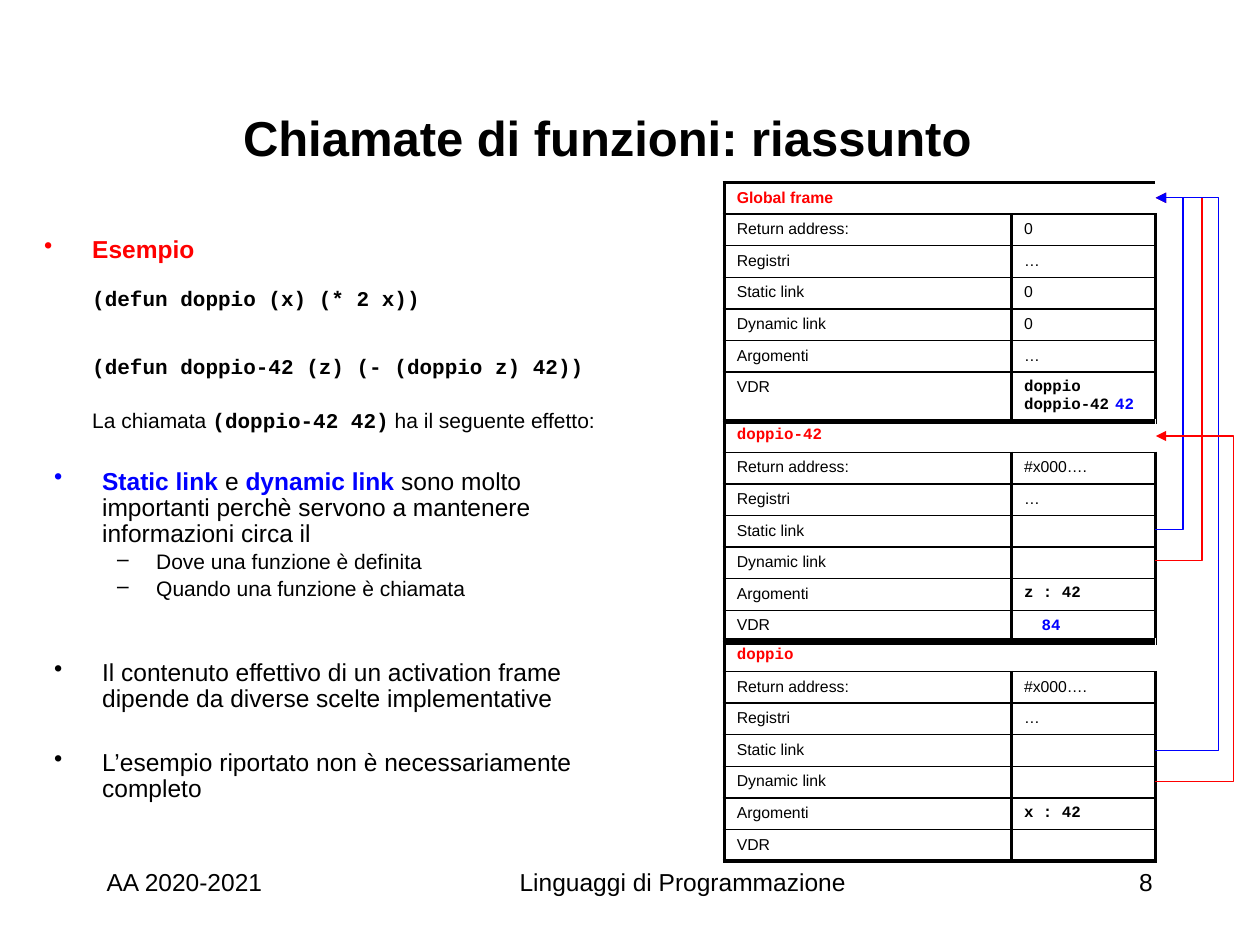
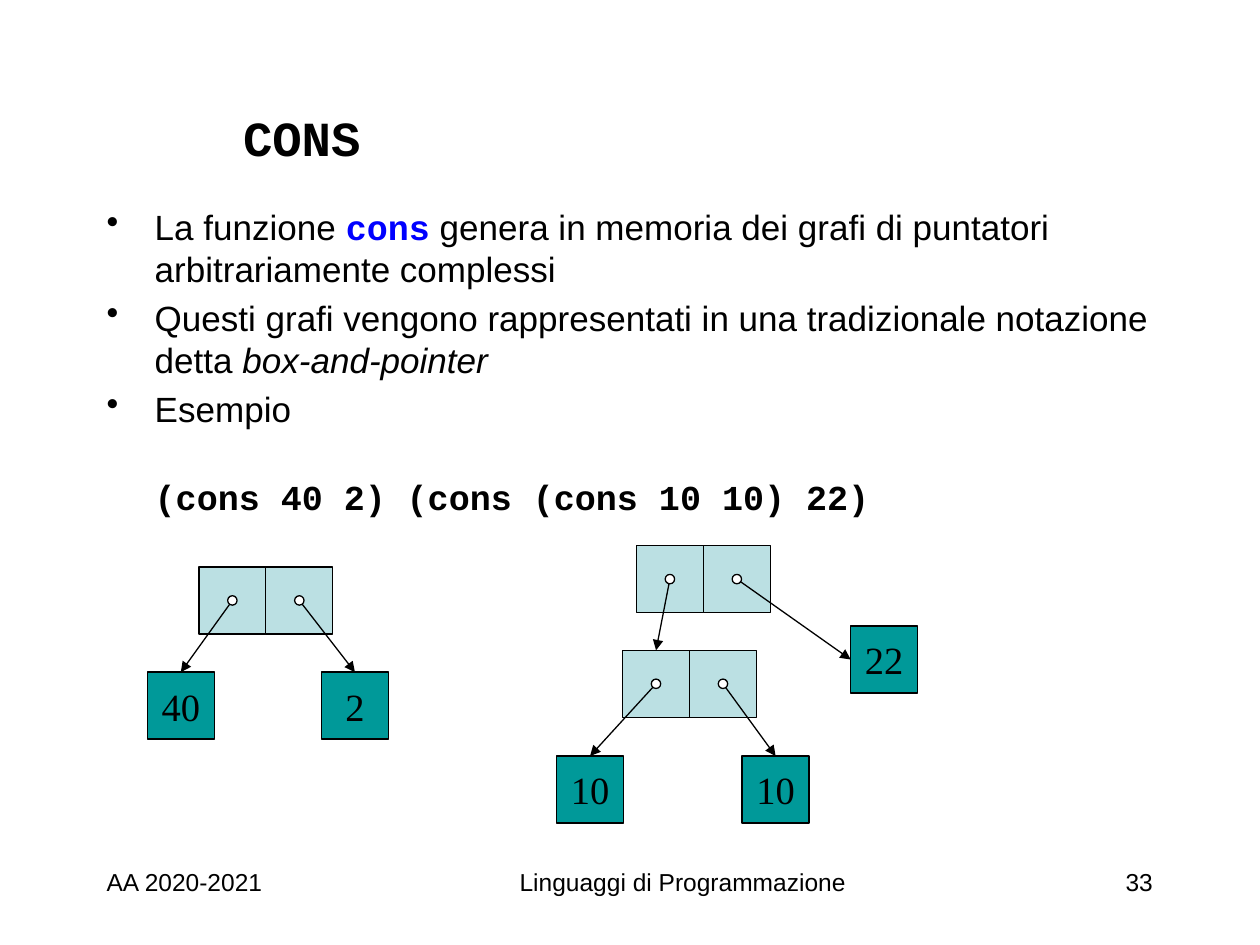
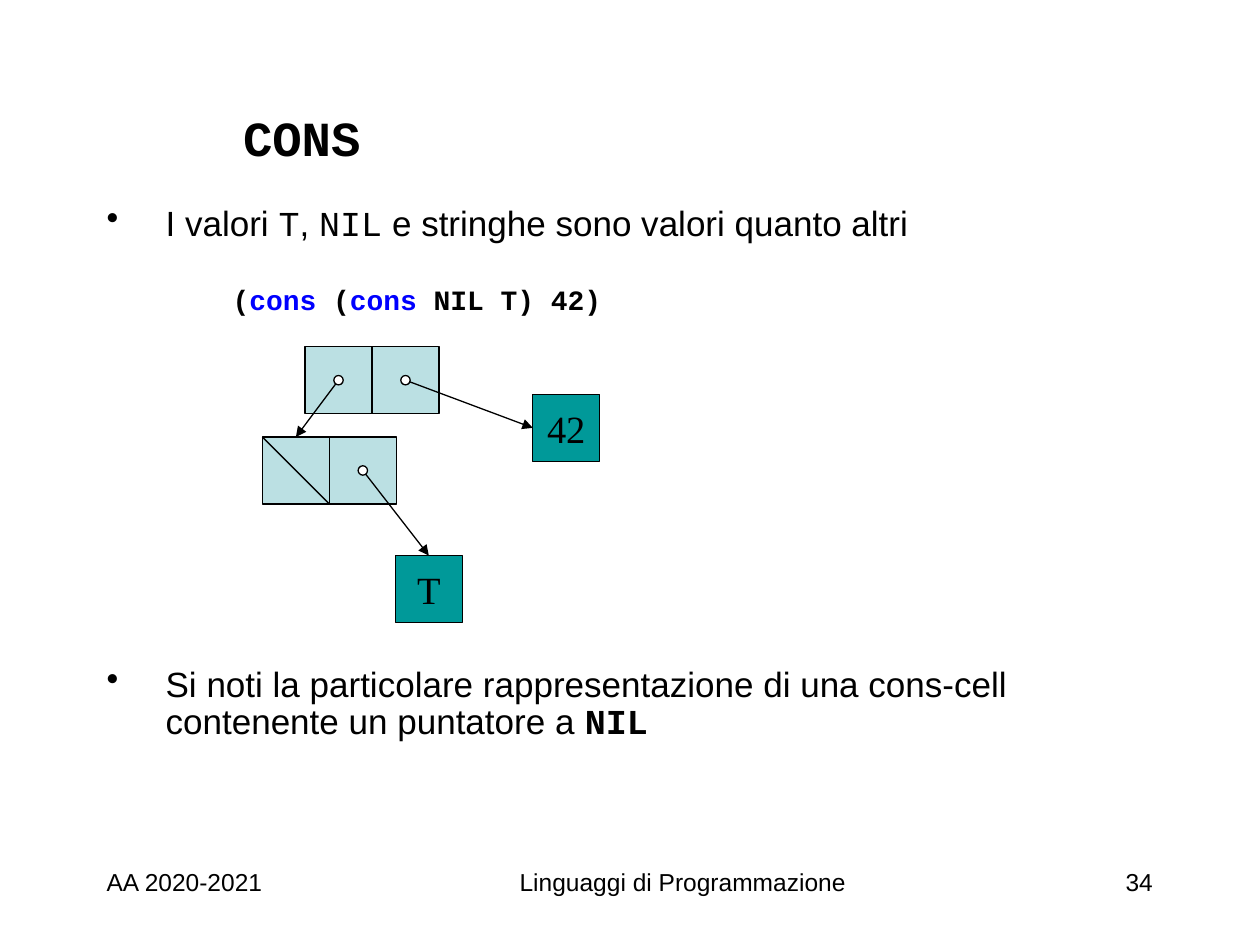
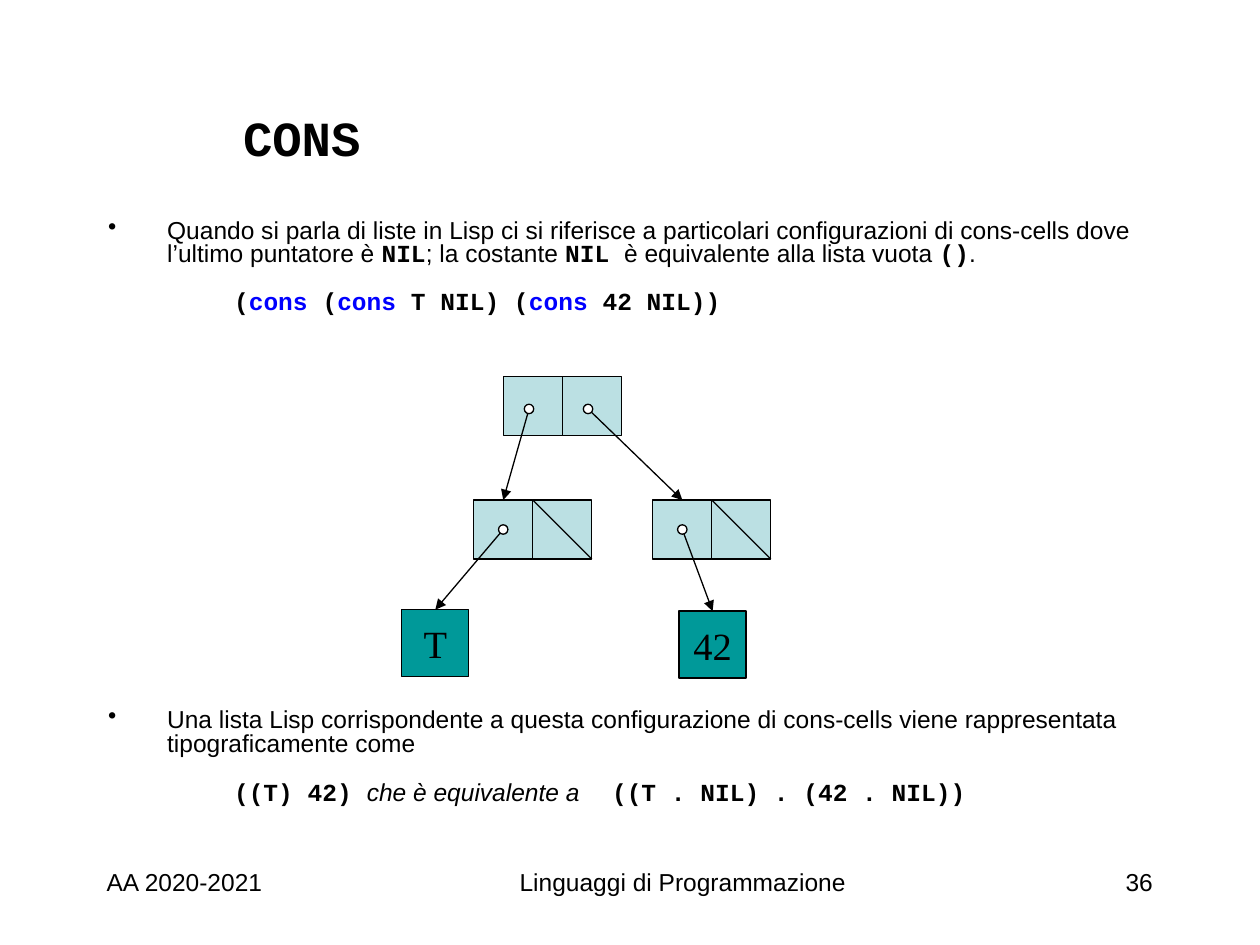
import math

from lxml import etree
from pptx import Presentation
from pptx.dml.color import RGBColor
from pptx.enum import shapes, text
from pptx.oxml import ns
from pptx.util import Cm, Pt

COLORS = {"ink": "000000", "red": "FF0000", "blue": "0000FF",
          "cell": "BBE0E3", "atom": "009999", "dot": "FFFFFF"}
ARIAL, MONO, SERIF = "Arial", "Courier New", "Times New Roman"
STYLES = {
    "text": {"name": ARIAL},
    "head": {"name": ARIAL, "bold": True},
    "red": {"name": ARIAL, "bold": True, "color": "red"},
    "blue": {"name": ARIAL, "bold": True, "color": "blue"},
    "it": {"name": ARIAL, "italic": True},
    "tt": {"name": MONO},
    "code": {"name": MONO, "bold": True},
    "key": {"name": MONO, "bold": True, "color": "blue"},
    "frame": {"name": MONO, "bold": True, "color": "red"},
    "atom": {"name": SERIF},
}
ALIGN = {"l": text.PP_ALIGN.LEFT, "c": text.PP_ALIGN.CENTER, "r": text.PP_ALIGN.RIGHT}
TITLE = (4.65, 1.7, 18.85, 2.12)
FOOT_Y, FOOT_H = 17.36, 1.27
BODY = (1.9, 4.02, 21.59, 12.9)
SIDE = 1.35     # side of an atom and of a usual cons cell
DOT = 0.19

# Paragraph: runs, size, space before, and left, bullet, hang or tab where needed
CALLS = [
    {"runs": [("Esempio", "red")], "size": 14, "left": 0.97, "bullet": "•"},
    {"runs": [("(defun doppio (x) (* 2 x))", "code")], "size": 12, "before": 14, "left": 0.97},
    {"runs": [("(defun doppio-42 (z) (- (doppio z) 42))", "code")],
     "size": 12, "before": 26, "left": 0.97},
    {"runs": [("La chiamata ", "text"), ("(doppio-42 42)", "code"),
              (" ha il seguente effetto:", "text")], "size": 12, "before": 18, "left": 0.97},
]
NOTES = [
    {"runs": [("Static link", "blue"), (" e ", "text"), ("dynamic link", "blue"),
              (" sono molto importanti perchè servono a mantenere informazioni circa il", "text")],
     "size": 14, "left": 0.97, "bullet": "•"},
    {"runs": [("Dove una funzione è definita", "text")],
     "size": 12, "before": 2, "left": 2.06, "hang": 0.79, "bullet": "–"},
    {"runs": [("Quando una funzione è chiamata", "text")],
     "size": 12, "before": 2.4, "left": 2.06, "hang": 0.79, "bullet": "–"},
    {"runs": [("Il contenuto effettivo di un activation frame dipende da diverse "
               "scelte implementative", "text")],
     "size": 14, "before": 33.5, "left": 0.97, "bullet": "•"},
    {"runs": [("L’esempio riportato non è necessariamente completo", "text")],
     "size": 14, "before": 21.5, "left": 0.97, "bullet": "•"},
]
FIELDS = ["Return address:", "Registri", "Static link", "Dynamic link", "Argomenti", "VDR"]
# Frame: top, height of the last row, name, style of the name, values
FRAMES = [
    (3.68, 0.97, "Global frame", "red", ["0", "…", "0", "0", "…", "doppio\ndoppio-42"]),
    (8.48, 0.66, "doppio-42", "frame", ["#x000….", "…", "", "", "z : 42", ""]),
    (12.9, 0.62, "doppio", "frame", ["#x000….", "…", "", "", "x : 42", ""]),
]
FRAME_X, FRAME_COLS, ROW = 14.6, (5.79, 2.9), 0.61
RESULTS = [("84", 20.75, 12.27), ("42", 22.23, 7.82)]
# Link: from y, to y, distance to the right of the frames, colour
LINKS = [(10.67, 3.99, 0.56, "blue"), (11.3, 3.99, 0.94, "red"),
         (15.13, 3.99, 1.27, "blue"), (15.75, 8.79, 1.58, "red")]

# Pairs: name: (x, y, two slots); a slot is (target, side of target) or None for NIL
SLIDES = [
    {"title": "Chiamate di funzioni: riassunto", "style": "head", "page": 8, "tight": 0.9,
     "bodies": [((0.64, 4.65, 12.5, 5.72), CALLS), ((0.84, 9.32, 11.63, 7.82), NOTES)],
     "frames": True},
    {"title": "CONS", "style": "code", "page": 33, "tight": 1,
     "bodies": [(BODY, [
         {"runs": [("La funzione ", "text"), ("cons", "key"),
                   (" genera in memoria dei grafi di puntatori arbitrariamente complessi", "text")],
          "size": 20, "left": 0.97, "bullet": "•"},
         {"runs": [("Questi grafi vengono rappresentati in una tradizionale notazione detta ",
                    "text"), ("box-and-pointer", "it")],
          "size": 20, "before": 4, "left": 0.97, "bullet": "•"},
         {"runs": [("Esempio", "text")], "size": 20, "before": 4, "left": 0.97, "bullet": "•"},
         {"runs": [("(cons 40 2)\t(cons (cons 10 10) 22)", "code")],
          "size": 20, "before": 26, "left": 0.97, "tab": 7.62},
     ])],
     "atoms": {"a": ("40", 2.97, 13.55), "b": ("2", 6.48, 13.55), "c": ("10", 11.22, 15.24),
               "d": ("10", 14.96, 15.24), "e": ("22", 17.15, 12.62)},
     "pairs": {"one": (4.01, 11.43, [("a", 0), ("b", 0)]),
               "low": (12.55, 13.11, [("c", 0), ("d", 0)]),
               "top": (12.83, 11.0, [("low", 0), ("e", 1)])}},
    {"title": "CONS", "style": "code", "page": 34, "tight": 0.9,
     "bodies": [(BODY, [
         {"runs": [("I valori ", "text"), ("T", "tt"), (", ", "text"), ("NIL", "tt"),
                   (" e stringhe sono valori quanto altri", "text")],
          "size": 20, "left": 1.19, "bullet": "•"},
         {"runs": [("(", "code"), ("cons", "key"), (" (", "code"), ("cons", "key"),
                   (" NIL T) 42)", "code")], "size": 16, "before": 24.4, "left": 2.54},
         {"runs": [("Si noti la particolare rappresentazione di una cons-cell contenente "
                    "un puntatore a ", "text"), ("NIL", "code")],
          "size": 20, "before": 200, "left": 1.19, "bullet": "•"},
     ])],
     "atoms": {"a": ("T", 7.97, 11.2), "b": ("42", 10.74, 7.95)},
     "pairs": {"low": (5.29, 8.81, [None, ("a", 0)]),
               "top": (6.15, 6.99, [("low", 0), ("b", 1)])}},
    {"title": "CONS", "style": "code", "page": 36, "tight": 0.8,
     "bodies": [((1.93, 4.32, 21.59, 12.9), [
         {"runs": [("Quando si parla di liste in Lisp ci si riferisce a particolari "
                    "configurazioni di cons-cells dove l’ultimo puntatore è ", "text"),
                   ("NIL", "code"), ("; la costante ", "text"), ("NIL ", "code"),
                   ("è equivalente alla lista vuota ", "text"), ("()", "code"), (".", "text")],
          "size": 14, "left": 1.19, "bullet": "•"},
         {"runs": [("(", "code"), ("cons", "key"), (" (", "code"), ("cons", "key"),
                   (" T NIL) (", "code"), ("cons", "key"), (" 42 NIL))", "code")],
          "size": 14, "before": 14, "left": 2.54},
         {"runs": [("Una lista Lisp corrispondente a questa configurazione di cons-cells viene "
                    "rappresentata tipograficamente come", "text")],
          "size": 14, "before": 225.4, "left": 1.19, "bullet": "•"},
         {"runs": [("((T) 42) ", "code"), ("che è equivalente a", "it"),
                   ("\t((T . NIL) . (42 . NIL))", "code")],
          "size": 14, "before": 14.6, "left": 2.54, "tab": 10.1},
     ])],
     "side": 1.19, "nudge": {"top": (-0.08, 0.06)},
     "atoms": {"a": ("T", 8.1, 12.29), "b": ("42", 13.69, 12.32)},
     "pairs": {"left": (9.55, 10.08, [("a", 0), None]),
               "right": (13.16, 10.08, [("b", 0), None]),
               "top": (10.15, 7.59, [("left", 0), ("right", 0)])}},
]


def rgb(name):
    return RGBColor.from_string(COLORS[name])


def sub(node, tag, **attrs):
    return etree.SubElement(node, ns.qn(tag), {k: str(v) for k, v in attrs.items()})


def write(para, words, style, size):
    look = {"color": "ink", "size": Pt(size), **STYLES[style]}
    tint = look.pop("color")
    for i, line in enumerate(words.split("\n")):
        if i:
            para.add_line_break()
        run = para.add_run()
        run.text = line
        for key, val in look.items():
            setattr(run.font, key, val)
        run.font.color.rgb = rgb(tint)


def add_box(slide, at, wrap=True):
    frame = slide.shapes.add_textbox(*map(Cm, at)).text_frame
    frame.word_wrap = wrap
    return frame


def add_line(slide, at, style, size, words, align="l", anchor="TOP", wrap=True):
    frame = add_box(slide, at, wrap)
    frame.vertical_anchor = getattr(text.MSO_ANCHOR, anchor)
    para = frame.paragraphs[0]
    para.alignment = ALIGN[align]
    write(para, words, style, size)


def add_body(slide, at, paras, tight):
    frame = add_box(slide, at)
    for i, item in enumerate(paras):
        para = frame.add_paragraph() if i else frame.paragraphs[0]
        para.line_spacing = Pt(item["size"] * 1.2 * tight)
        para.space_before = Pt(item.get("before", 0))
        props = para._p.get_or_add_pPr()
        bullet, left = item.get("bullet"), item["left"]
        hang = item.get("hang", left) if bullet else 0
        props.set("marL", str(Cm(left)))
        props.set("indent", str(-Cm(hang)))
        if bullet:
            sub(props, "a:buChar", char=bullet)
        if "tab" in item:
            sub(sub(props, "a:tabLst"), "a:tab", pos=Cm(item["tab"]), algn="l")
        for words, style in item["runs"]:
            write(para, words, style, item["size"])


def edge(cell, sides):
    """Draw the cell's borders; sides maps L, R, T, B to a width in points."""
    props = cell._tc.get_or_add_tcPr()
    for side, width in sides.items():
        line = sub(props, f"a:ln{side}", w=Pt(width))
        sub(sub(line, "a:solidFill"), "a:srgbClr", val=COLORS["ink"])
    cell.fill.background()


def add_frame(slide, top, last, name, style, values):
    count = len(FIELDS) + 1
    heights = [ROW] * (count - 1) + [last]
    table = slide.shapes.add_table(count, 2, Cm(FRAME_X), Cm(top), Cm(sum(FRAME_COLS)),
                                   Cm(sum(heights))).table
    table.first_row = table.horz_banding = False
    for col, width in zip(table.columns, FRAME_COLS):
        col.width = Cm(width)
    table.cell(0, 0).merge(table.cell(0, 1))
    rows = [(name, "")] + list(zip(FIELDS, values))
    for r, (row, height) in enumerate(zip(rows, heights)):
        table.rows[r].height = Cm(height)
        for c, words in enumerate(row):
            cell = table.cell(r, c)
            para = cell.text_frame.paragraphs[0]
            mono = c and (":" in words or "doppio" in words)
            if words:
                write(para, words, style if r == 0 else "code" if mono else "text", 9)
            else:
                sub(para._p, "a:endParaRPr", sz=900)
            sides = {"L": 2.25, "R": 2.25, "T": 1 if r else 2.25,
                     "B": 2.25 if r == count - 1 else 1}
            if r == 0:
                del sides["L" if c else "R"]
            edge(cell, sides)


def join(slide, start, end, tint="ink", arrow=True, kind="STRAIGHT"):
    line = slide.shapes.add_connector(getattr(shapes.MSO_CONNECTOR, kind),
                                      *map(Cm, (*start, *end)))
    line.line.color.rgb = rgb(tint)
    line.line.width = Pt(0.75)
    if arrow:
        sub(line.line._get_or_add_ln(), "a:tailEnd", type="triangle")
    sub(line._element.spPr, "a:effectLst")
    return line


def add_link(slide, low, high, reach, tint):
    x, step = FRAME_X + sum(FRAME_COLS), 0.01
    line = join(slide, (x, low), (x + step, high), tint, kind="ELBOW")
    guides = line._element.spPr.find(ns.qn("a:prstGeom")).get_or_add_avLst()
    sub(guides, "a:gd", name="adj1", fmla=f"val {round(reach / step * 100000)}")


def add_shape(slide, kind, x, y, side, tint):
    shape = slide.shapes.add_shape(getattr(shapes.MSO_SHAPE, kind), *map(Cm, (x, y, side, side)))
    shape.shadow.inherit = False
    shape.fill.solid()
    shape.fill.fore_color.rgb = rgb(tint)
    shape.line.color.rgb = rgb("ink")
    shape.line.width = Pt(0.75)
    return shape


def add_graph(slide, atoms, pairs, side, nudge):
    ends = {}       # name: shape, x, y, side
    for name, (words, x, y) in atoms.items():
        box = add_shape(slide, "RECTANGLE", x, y, SIDE, "atom")
        frame = box.text_frame
        frame.word_wrap = False
        frame.vertical_anchor = text.MSO_ANCHOR.MIDDLE
        frame.paragraphs[0].alignment = ALIGN["c"]
        write(frame.paragraphs[0], words, "atom", 22)
        ends[name] = box, x, y, SIDE
    for name, (x, y, _) in pairs.items():
        cells = [add_shape(slide, "RECTANGLE", x + i * side, y, side, "cell") for i in range(2)]
        ends[name] = cells[0], x, y, side
    for name, (x, y, slots) in pairs.items():
        dx, dy = nudge.get(name, (0, 0))
        for i, slot in enumerate(slots):
            left = x + i * side
            if slot is None:
                join(slide, (left, y), (left + side, y + side), arrow=False)
                continue
            mid = left + side / 2 + dx, y + side / 2 + dy
            target, site = slot
            box, bx, by, size = ends[target]
            tip = (bx, by + size / 2) if site else (bx + size / 2, by)
            part = DOT / 2 / math.dist(mid, tip)
            start = [m + (t - m) * part for m, t in zip(mid, tip)]
            join(slide, start, tip).end_connect(box, site)
            add_shape(slide, "OVAL", mid[0] - DOT / 2, mid[1] - DOT / 2, DOT, "dot")


def add_base(slide, title, style, page):
    """Add the title and the footer that all slides share."""
    add_line(slide, TITLE, style, 28, title, anchor="MIDDLE")
    for words, x, width, align in [("AA 2020-2021", 1.9, 6.35, "l"),
                                   ("Linguaggi di Programmazione", 8.05, 11.43, "c"),
                                   (str(page), 18.41, 5.08, "r")]:
        add_line(slide, (x, FOOT_Y, width, FOOT_H), "text", 14, words, align)


def main():
    deck = Presentation()
    deck.slide_width, deck.slide_height = Cm(25.4), Cm(19.05)
    for item in SLIDES:
        slide = deck.slides.add_slide(deck.slide_layouts[6])
        add_base(slide, item["title"], item["style"], item["page"])
        for at, paras in item["bodies"]:
            add_body(slide, at, paras, item["tight"])
        if "frames" in item:
            for frame in FRAMES:
                add_frame(slide, *frame)
            for words, x, y in RESULTS:
                add_line(slide, (x, y, 0.89, 0.64), "key", 9, words, wrap=False)
            for link in LINKS:
                add_link(slide, *link)
        if "pairs" in item:
            add_graph(slide, item["atoms"], item["pairs"], item.get("side", SIDE),
                      item.get("nudge", {}))
    deck.save("out.pptx")


if __name__ == "__main__":
    main()
